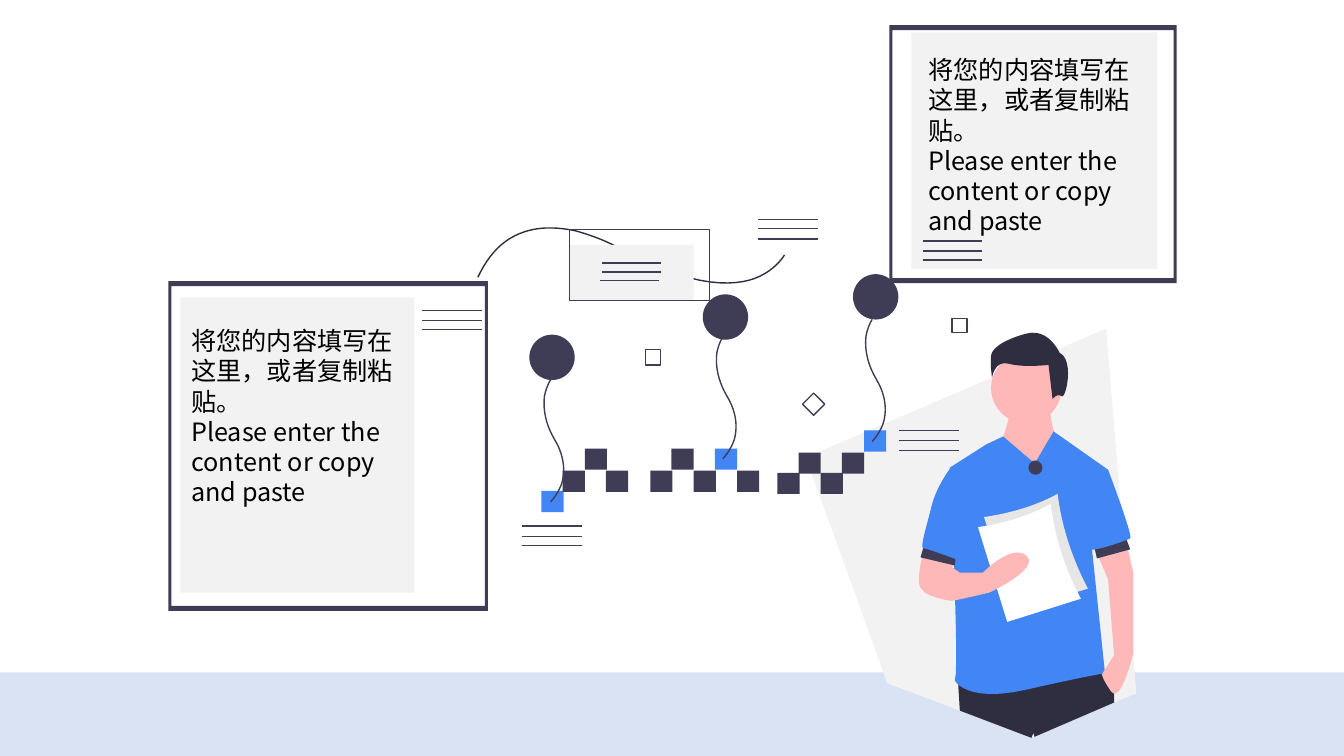
from dataclasses import dataclass

import pptx
import pptx.dml.color
import pptx.enum.shapes
import pptx.oxml
import pptx.oxml.ns
import pptx.util

EMU_PER_PX = 9144  # 100 px to the inch
FONT = "Noto Sans CJK SC"
INK, BLACK, BLUE, SKIN = "3F3D56", "2F2E41", "4285F4", "FFB8B8"
PALE, GREY, WHITE, BAND = "F2F2F2", "E6E6E6", "FFFFFF", "DAE3F3"
CURVE_STEPS = 12
SHAPE = pptx.enum.shapes.MSO_SHAPE

# An outline is a start point, then points (x, y) and cubic curves (x1, y1, x2, y2, x, y)
Outline = list[tuple[int, ...]]


@dataclass
class Part:
    color: str
    outline: Outline


@dataclass
class Block:
    kind: int
    left: int
    top: int
    width: int
    height: int
    fill: str | None = None
    line: str | None = None


@dataclass
class TileRun:
    left: int
    tops: tuple[int, ...]
    blue_index: int


@dataclass
class Pin:
    left: int
    top: int
    strand_left: int
    strand_top: int


@dataclass
class Frame:
    left: int
    top: int
    right: int
    bottom: int


BACKDROP = Part(PALE, [(1097, 326), (799, 454), (842, 572), (880, 678), (952, 705), (1023, 732),
                       (1105, 697), (1127, 688)])
TROUSERS = Part(BLACK, [(1105, 685), (1105, 697), (1026, 731), (1025, 727), (1023, 732), (952, 705),
                        (950, 673), (1091, 663)])
NECK = Part(SKIN, [(1003, 406), (1003, 406, 994, 440, 992, 440), (990, 440, 1010, 467, 1010, 467),
                   (1039, 483), (1049, 439), (1049, 439, 1040, 416, 1042, 403)])
CLOTHES_AND_ARMS = [
    # Shirt
    Part(BLUE, [(1023, 457), (995, 433), (978, 441), (942, 464), (942, 464, 952, 667, 947, 675),
                (947, 675, 958, 698, 1019, 684), (1080, 670, 1096, 668, 1096, 668), (1083, 544),
                (1099, 466), (1045, 428), (1028, 457)]),
    # Forearms
    Part(SKIN, [(919, 536), (919, 536, 905, 581, 915, 585), (926, 590, 934, 588, 934, 588), (950, 549)]),
    Part(SKIN, [(1115, 529), (1124, 568), (1124, 648), (1124, 648, 1112, 699, 1102, 686),
                (1093, 673, 1093, 669, 1093, 669), (1105, 650), (1099, 575), (1084, 539)]),
    # Hair
    Part(BLACK, [(1051, 350), (1051, 350, 1040, 325, 1018, 331), (996, 337, 984, 345, 983, 353),
                 (982, 362, 984, 375, 984, 375), (984, 375, 986, 357, 1001, 361),
                 (1016, 365, 1040, 362, 1040, 362), (1044, 396), (1044, 396, 1048, 390, 1053, 393),
                 (1057, 397, 1066, 357, 1051, 350)]),
    # Cuffs
    Part(INK, [(1084, 537), (1088, 554), (1121, 545), (1115, 529)]),
    Part(INK, [(918, 536), (913, 553), (947, 561), (949, 544)]),
    # Sleeves
    Part(BLUE, [(1078, 464), (1099, 466), (1099, 466, 1124, 532, 1121, 534),
                (1118, 536, 1084, 548, 1079, 545), (1075, 542, 1078, 464, 1078, 464)]),
    Part(BLUE, [(950, 466), (943, 464), (943, 464, 929, 482, 924, 502), (919, 523, 912, 544, 916, 544),
                (920, 544, 954, 557, 954, 557)]),
]
SHEETS_AND_HAND = [
    Part(GREY, [(1079, 584), (1006, 607), (976, 513), (1004, 509, 1029, 501, 1049, 490),
                (1053, 522, 1063, 553, 1079, 584)]),
    Part(WHITE, [(1072, 594), (999, 617), (970, 523), (998, 519, 1022, 511, 1042, 500),
                 (1046, 532, 1056, 564, 1072, 594)]),
    Part(SKIN, [(924, 558), (924, 558, 912, 579, 915, 585), (918, 592, 942, 596, 944, 596),
                (947, 596, 981, 588, 981, 588), (981, 588, 1033, 564, 1018, 551),
                (1003, 539, 975, 568, 975, 568), (952, 568), (940, 560)]),
]
HEAD = Block(SHAPE.OVAL, 983, 350, 70, 70, SKIN)
BUTTON = Block(SHAPE.OVAL, 1020, 457, 14, 14, INK)
SMALL_MARKS = [
    Block(SHAPE.DIAMOND, 796, 390, 22, 22, line=INK),
    Block(SHAPE.RECTANGLE, 640, 347, 15, 15, line=INK),
    Block(SHAPE.RECTANGLE, 944, 316, 15, 14, line=INK),
]
CARD = [
    Block(SHAPE.RECTANGLE, 565, 243, 123, 55, PALE),
    Block(SHAPE.RECTANGLE, 565, 228, 139, 70, line=INK),
]
PANELS = [
    Block(SHAPE.RECTANGLE, 179, 295, 232, 293, PALE),
    Block(SHAPE.RECTANGLE, 904, 32, 244, 235, PALE),
]
FRAMES = [Frame(167, 279, 484, 606), Frame(882, 25, 1167, 281)]
FRAME_SIDE, FRAME_EDGE = 3, 5

TILE_RUNS = [
    TileRun(537, (487, 467, 445, 467), 0),
    TileRun(645, (467, 445, 467, 445, 467), 3),
    TileRun(771, (469, 449, 469, 449, 427), 4),
]
PINS = [Pin(525, 332, 538, 377), Pin(697, 292, 709, 334), Pin(846, 272, 857, 317)]
STRAND: Outline = [(8, 0), (8, 0, 4, 6, 2, 16), (1, 25, 1, 40, 12, 59), (23, 77, 22, 93, 19, 103),
                   (15, 114, 8, 121, 8, 121)]
SWOOSH: Outline = [(474, 275), (485, 252, 499, 237, 520, 230), (535, 225, 552, 225, 571, 229),
                   (585, 233, 599, 238, 612, 245), (679, 283, 720, 284, 743, 278),
                   (768, 271, 778, 253, 778, 253)]

# Left end and heights of each set of three text strokes
STROKES = [(419, (308, 318, 327)), (752, (218, 227, 237)), (892, (427, 437, 447)),
           (518, (522, 532, 541)), (915, (239, 249, 258))]
CARD_STROKES = [(597, (261, 270)), (595, (278,))]
STROKE_WIDTH = 59

CAPTION = ["将您的内容填写在这里，或者复制粘贴。", "Please enter the content or copy and paste"]
CAPTION_CORNERS = [(180, 318), (911, 49)]


def px(length: float) -> int:
    return round(length * EMU_PER_PX)


def rgb(color: str) -> pptx.dml.color.RGBColor:
    return pptx.dml.color.RGBColor.from_string(color)


def paint(shape, fill: str | None, line: str | None) -> None:
    shape.shadow.inherit = False
    if fill:
        shape.fill.solid()
        shape.fill.fore_color.rgb = rgb(fill)
    else:
        shape.fill.background()
    if line:
        shape.line.color.rgb = rgb(line)
        shape.line.width = pptx.util.Pt(1)
    else:
        shape.line.fill.background()


def flatten(outline: Outline) -> list[tuple[int, int]]:
    """Turn an outline into EMU points, sampling its curves."""
    points = [outline[0]]
    for segment in outline[1:]:
        if len(segment) == 2:
            points.append(segment)
            continue
        start = points[-1]
        for step in range(1, CURVE_STEPS + 1):
            t = step / CURVE_STEPS
            u = 1 - t
            points.append(tuple(
                u**3 * start[axis] + 3 * u * u * t * segment[axis]
                + 3 * u * t * t * segment[axis + 2] + t**3 * segment[axis + 4]
                for axis in (0, 1)))
    return [(px(x), px(y)) for x, y in points]


def draw_outline(slide, contours: list[Outline], fill: str | None, line: str | None = None) -> None:
    first, *others = [flatten(contour) for contour in contours]
    closed = fill is not None
    builder = slide.shapes.build_freeform(*first[0], scale=1.0)
    builder.add_line_segments(first[1:], close=closed)
    for points in others:
        builder.move_to(*points[0])
        builder.add_line_segments(points[1:], close=closed)
    paint(builder.convert_to_shape(), fill, line)


def draw_parts(slide, parts: list[Part]) -> None:
    for part in parts:
        draw_outline(slide, [part.outline], part.color)


def draw_blocks(slide, blocks: list[Block]) -> None:
    for block in blocks:
        shape = slide.shapes.add_shape(block.kind, px(block.left), px(block.top),
                                       px(block.width), px(block.height))
        paint(shape, block.fill, block.line)


def draw_tiles(slide, run: TileRun) -> None:
    draw_blocks(slide, [
        Block(SHAPE.RECTANGLE, run.left + 43 * index // 2, top, 22, 21,
              BLUE if index == run.blue_index else INK)
        for index, top in enumerate(run.tops)])


def draw_pin(slide, pin: Pin) -> None:
    strand = [tuple(value + (pin.strand_top if index % 2 else pin.strand_left)
                    for index, value in enumerate(segment)) for segment in STRAND]
    draw_outline(slide, [strand], None, INK)
    draw_blocks(slide, [Block(SHAPE.OVAL, pin.left, pin.top, 45, 45, INK)])


def draw_strokes(slide, strokes: list[tuple[int, tuple[int, ...]]]) -> None:
    for left, heights in strokes:
        for y in heights:
            connector = slide.shapes.add_connector(
                pptx.enum.shapes.MSO_CONNECTOR.STRAIGHT, px(left), px(y), px(left + STROKE_WIDTH), px(y))
            connector.line.color.rgb = rgb(INK)
            connector.line.width = pptx.util.Pt(1)
            properties = connector._element.spPr
            properties.append(pptx.oxml.parse_xml(f'<a:effectLst {pptx.oxml.ns.nsdecls("a")}/>'))


def draw_frame(slide, frame: Frame) -> None:
    contours = []
    for side, edge in ((0, 0), (FRAME_SIDE, FRAME_EDGE)):
        left, right = frame.left + side, frame.right - side
        top, bottom = frame.top + edge, frame.bottom - edge
        contours.append([(right, bottom), (left, bottom), (left, top), (right, top)])
    draw_outline(slide, contours, INK)


def add_caption(slide, left: int, top: int) -> None:
    text_frame = slide.shapes.add_textbox(px(left), px(top), px(244), px(189)).text_frame
    text_frame.word_wrap = True
    text_frame.text = "\n".join(CAPTION)
    for paragraph in text_frame.paragraphs:
        paragraph.font.name = FONT
        paragraph.font.size = pptx.util.Pt(18)
        paragraph.font.color.rgb = rgb("000000")


def main() -> None:
    presentation = pptx.Presentation()
    presentation.slide_width, presentation.slide_height = px(1333), px(750)
    slide = presentation.slides.add_slide(presentation.slide_layouts[6])

    # Floor and person
    draw_blocks(slide, [Block(SHAPE.RECTANGLE, 0, 667, 1333, 83, BAND)])
    draw_parts(slide, [BACKDROP, TROUSERS, NECK])
    draw_blocks(slide, [HEAD])
    draw_parts(slide, CLOTHES_AND_ARMS)
    draw_blocks(slide, [BUTTON])
    draw_parts(slide, SHEETS_AND_HAND)

    # Tiles, pins and small marks
    for run in TILE_RUNS:
        draw_tiles(slide, run)
    draw_blocks(slide, SMALL_MARKS)
    for pin in PINS:
        draw_pin(slide, pin)

    # Centre card and framed panels
    draw_outline(slide, [SWOOSH], None, BLACK)
    draw_blocks(slide, CARD + PANELS)
    draw_strokes(slide, STROKES + CARD_STROKES)
    for frame in FRAMES:
        draw_frame(slide, frame)
    for left, top in CAPTION_CORNERS:
        add_caption(slide, left, top)

    presentation.save("out.pptx")


if __name__ == "__main__":
    main()
